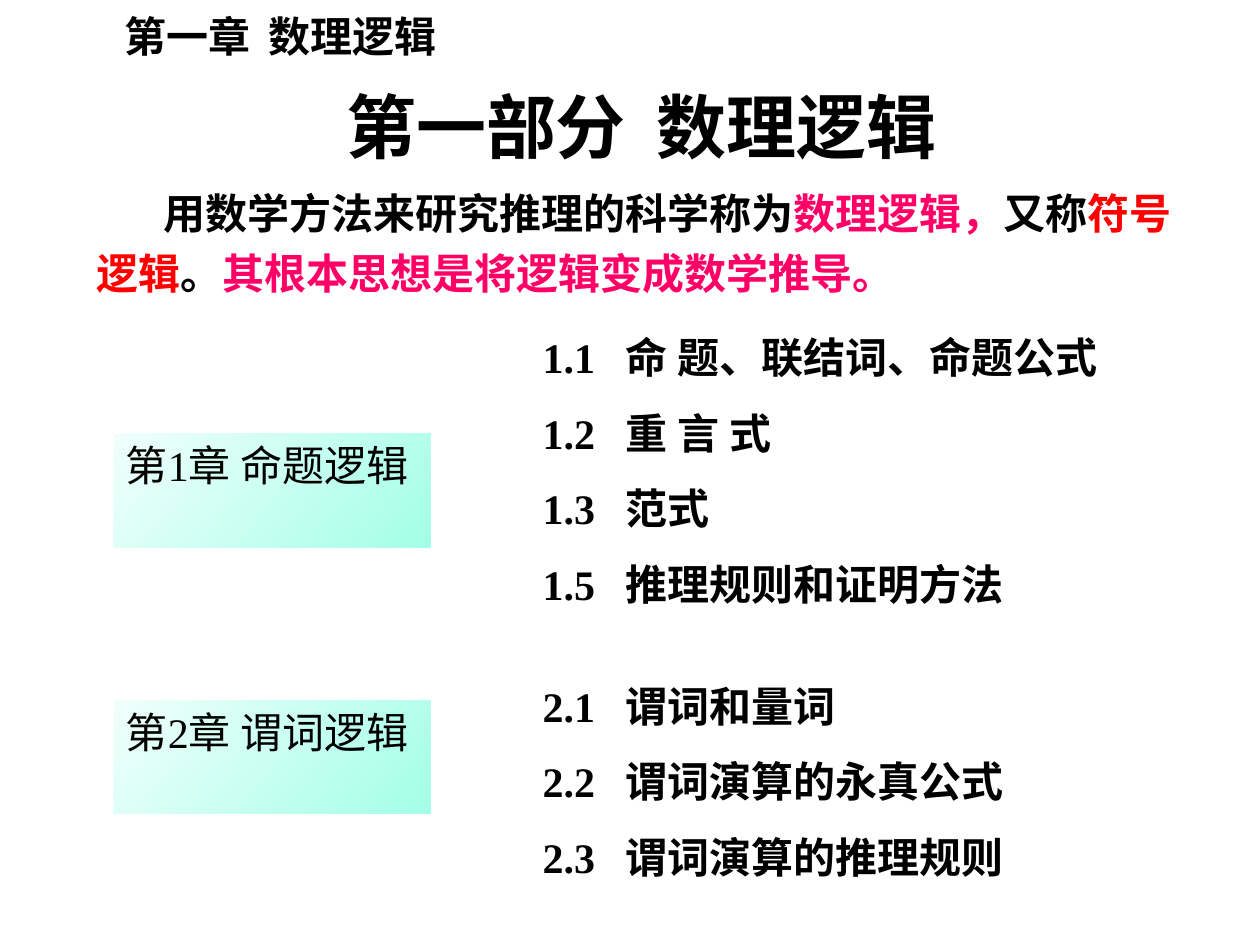
"""Build the opening slide of the mathematical logic part."""
from lxml.etree import SubElement
from pptx import Presentation
from pptx.dml.color import RGBColor as Color
from pptx.enum.shapes import MSO_SHAPE as Shape
from pptx.enum.text import MSO_ANCHOR as Anchor, PP_ALIGN as Align
from pptx.oxml.ns import qn
from pptx.util import Cm, Pt

LATIN, CJK = "Times New Roman", "Noto Sans CJK SC"


def color(value):
    return Color.from_string(value)


def write(shape, lines, size=24, font=LATIN, bold=True, spacing=None, tab=None, indent=None):
    frame = shape.text_frame
    frame.word_wrap = True
    frame.vertical_anchor = Anchor.TOP
    for number, runs in enumerate(lines):
        paragraph = frame.paragraphs[0] if number == 0 else frame.add_paragraph()
        paragraph.alignment = Align.LEFT
        properties = paragraph._p.get_or_add_pPr()
        if indent:
            properties.set("indent", str(Cm(indent)))
        if tab:
            stops = SubElement(properties, qn("a:tabLst"))
            SubElement(stops, qn("a:tab"), pos=str(Cm(tab)), algn="l")
        if spacing:
            paragraph.line_spacing = spacing
        paragraph.font.size = Pt(size)
        paragraph.font.bold = bold
        paragraph.font.name = font
        SubElement(properties.find(qn("a:defRPr")), qn("a:ea"), typeface=CJK)
        for text, run_color in runs:
            run = paragraph.add_run()
            run.text = text
            run.font.color.rgb = color(run_color)


presentation = Presentation()
presentation.slide_width, presentation.slide_height = Cm(25.4), Cm(19.05)
slide = presentation.slides.add_slide(presentation.slide_layouts[6])
BLACK, PINK, RED = "000000", "FF0066", "FF0000"

headings = [
    ("第一章\t数理逻辑", 2.26, 0.08, 7.01, 1.27, 24, 2.9),
    ("第一部分\t数理逻辑", 6.73, 1.55, 12.75, 1.96, 40, 6.25),
]
for text, left, top, width, height, size, tab in headings:
    box = slide.shapes.add_textbox(Cm(left), Cm(top), Cm(width), Cm(height))
    write(box, [[(text, BLACK)]], size=size, font=CJK, tab=tab)

definition = [
    ("用数学方法来研究推理的科学称为", BLACK),
    ("数理逻辑，", PINK),
    ("又称", BLACK),
    ("符号逻辑", RED),
    ("。", BLACK),
    ("其根本思想是将逻辑变成数学推导。", PINK),
]
box = slide.shapes.add_textbox(Cm(1.7), Cm(3.45), Cm(22.81), Cm(2.69))
write(box, [definition], spacing=1.2, indent=1.35)

chapters = [
    ("第1章 命题逻辑", 8.74, 6.05, 6.35,
     ["1.1\t命 题、联结词、命题公式", "1.2\t重 言 式", "1.3\t范式", "1.5\t推理规则和证明方法"]),
    ("第2章 谓词逻辑", 14.12, 13.08, 4.83,
     ["2.1\t谓词和量词", "2.2\t谓词演算的永真公式", "2.3\t谓词演算的推理规则"]),
]
for chapter, label_top, list_top, list_height, sections in chapters:
    label = slide.shapes.add_shape(Shape.RECTANGLE, Cm(2.29), Cm(label_top), Cm(6.4), Cm(2.29))
    label.shadow.inherit = False
    label.line.fill.background()
    label.fill.gradient()
    label.fill.gradient_angle = 320
    for stop, value in zip(label.fill.gradient_stops, ("F0FFFB", "A3FFE8")):
        stop.color.rgb = color(value)
    write(label, [[(chapter, BLACK)]], bold=False)

    box = slide.shapes.add_textbox(Cm(10.69), Cm(list_top), Cm(11.89), Cm(list_height))
    write(box, [[(section, BLACK)] for section in sections], spacing=1.5, tab=1.68)

presentation.save("out.pptx")
